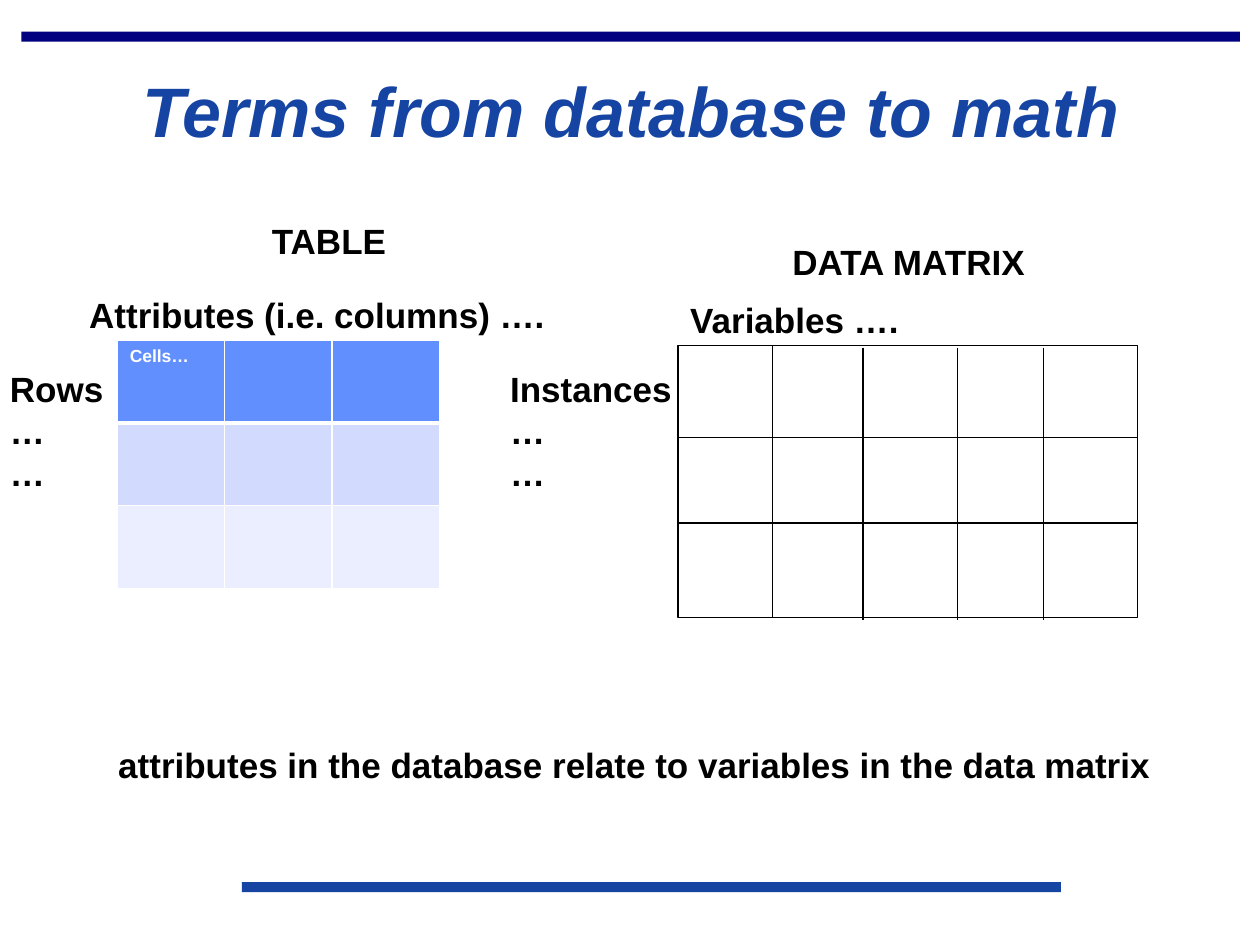
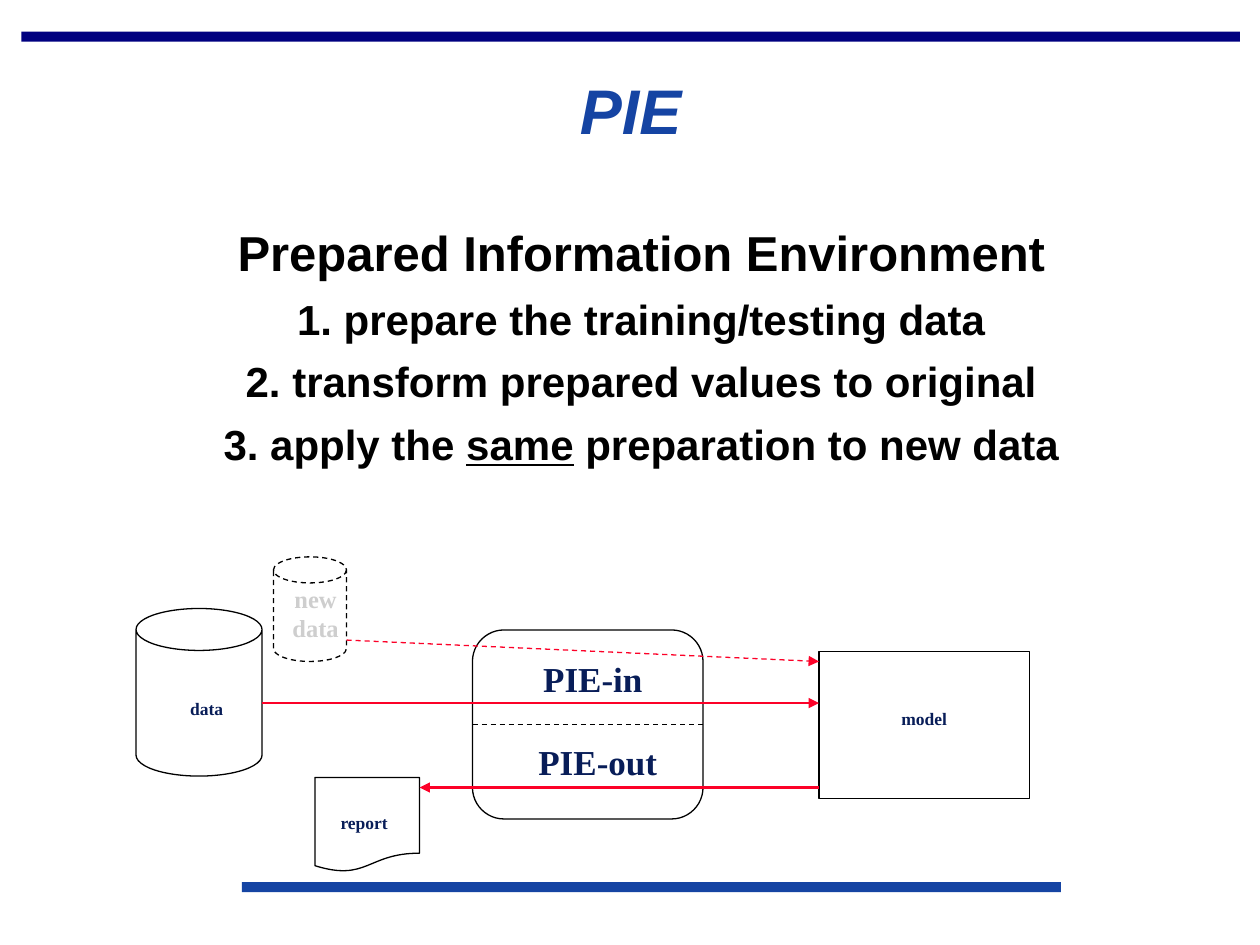
from dataclasses import dataclass

from pptx import Presentation
from pptx.dml.color import RGBColor as Color
from pptx.enum.dml import MSO_LINE_DASH_STYLE as Dash
from pptx.enum.shapes import MSO_CONNECTOR as Connector, MSO_SHAPE as Preset
from pptx.enum.text import MSO_ANCHOR as Anchor, PP_ALIGN as Align
from pptx.oxml.ns import qn
from pptx.oxml.xmlchemy import OxmlElement
from pptx.util import Inches, Pt


@dataclass(frozen=True)
class Theme:
    top_band: str = "000080"
    accent: str = "1544A3"
    black: str = "000000"
    white: str = "FFFFFF"
    diagram_text: str = "081D58"
    faded_text: str = "CECECE"
    arrow: str = "FC0128"
    table_rows: tuple = ("618FFD", "D2DBFE", "EAEEFF")
    sans: str = "Arial"
    serif: str = "Times New Roman"
    title_size: int = 40
    short_title_size: int = 36
    heading_size: int = 28
    step_size: int = 24
    label_size: int = 20
    faded_size: int = 14
    small_size: int = 10
    thin: float = 0.75
    thick: float = 1.5
    line_spacing: float = 0.95
    step_gap: float = 8.3


THEME = Theme()


def apply_format(target, values):
    for name, value in values.items():
        setattr(target, name, value)


def sans_format(size, **extra):
    return {"name": THEME.sans, "size": Pt(size), "bold": True, **extra}


def serif_format(size):
    return {"name": THEME.serif, "size": Pt(size), "bold": True}


def add_run(paragraph, text, font_format, color):
    run = paragraph.add_run()
    run.text = text
    apply_format(run.font, font_format)
    run.font.color.rgb = Color.from_string(color)
    return run


def add_text(slide, box, lines, font_format, color=THEME.black,
             paragraph_format=None, anchor=Anchor.TOP):
    shape = slide.shapes.add_textbox(*map(Inches, box))
    frame = shape.text_frame
    apply_format(frame, {"word_wrap": True, "vertical_anchor": anchor})
    for index, line in enumerate(lines):
        paragraph = frame.add_paragraph() if index else frame.paragraphs[0]
        apply_format(paragraph, paragraph_format or {})
        add_run(paragraph, line, font_format, color)
    return frame


def add_diagram_label(slide, box, lines, size, color=THEME.diagram_text):
    add_text(slide, box, lines, serif_format(size), color,
             {"alignment": Align.CENTER}, Anchor.MIDDLE)


def add_band(slide, box, color):
    band = slide.shapes.add_shape(Preset.RECTANGLE, *map(Inches, box))
    band.shadow.inherit = False
    band.fill.solid()
    band.fill.fore_color.rgb = Color.from_string(color)
    band.line.fill.background()


def set_line(line, color, width, dashed):
    line.color.rgb = Color.from_string(color)
    line.width = Pt(width)
    if dashed:
        line.dash_style = Dash.DASH


def add_outline(slide, preset, box, cap=None, dashed=False):
    shape = slide.shapes.add_shape(preset, *map(Inches, box))
    shape.shadow.inherit = False
    shape.fill.background()
    if cap:
        shape.adjustments[0] = cap
    set_line(shape.line, THEME.black, THEME.thin, dashed)


def add_line(slide, start, end, color=THEME.black, width=THEME.thin,
             dashed=False, arrow=False):
    connector = slide.shapes.add_connector(
        Connector.STRAIGHT, *map(Inches, (*start, *end)))
    set_line(connector.line, color, width, dashed)
    properties = connector.element.spPr
    if arrow:
        head = OxmlElement("a:tailEnd")
        head.set("type", "triangle")
        properties.find(qn("a:ln")).append(head)
    properties.append(OxmlElement("a:effectLst"))


def add_arrow(slide, start, end, width=THEME.thick, dashed=False):
    add_line(slide, start, end, THEME.arrow, width, dashed, arrow=True)


def set_cell_borders(cell, widths):
    properties = cell._tc.get_or_add_tcPr()
    for position, (side, width) in enumerate(widths.items()):
        border = OxmlElement(f"a:ln{side}")
        border.set("w", str(Pt(width)))
        fill = OxmlElement("a:solidFill")
        color = OxmlElement("a:srgbClr")
        color.set("val", THEME.white)
        fill.append(color)
        border.append(fill)
        properties.insert(position, border)


def add_database_table(slide, box):
    table = slide.shapes.add_table(3, 3, *map(Inches, box)).table
    for row, color in enumerate(THEME.table_rows):
        borders = {"L": 1, "R": 1, "T": 3 if row == 1 else 1,
                   "B": 3 if row == 0 else 1}
        for column in range(3):
            cell = table.cell(row, column)
            cell.fill.solid()
            cell.fill.fore_color.rgb = Color.from_string(color)
            set_cell_borders(cell, borders)
    add_run(table.cell(0, 0).text_frame.paragraphs[0], "Cells…",
            sans_format(THEME.small_size), THEME.white)


def add_data_matrix(slide, left, top, width, height):
    add_outline(slide, Preset.RECTANGLE, (left, top, width, height))
    for x, drop in ((6.13, 0), (6.85, 0.02), (7.6, 0.02), (8.28, 0.02)):
        add_line(slide, (x, top + drop), (x, top + height + drop))
    for y in (3.47, 4.15):
        add_line(slide, (left, y), (left + width, y))


def add_titled_slide(presentation, title, size):
    slide = presentation.slides.add_slide(presentation.slide_layouts[6])
    add_band(slide, (0.17, 0.25, 9.67, 0.08), THEME.top_band)
    add_band(slide, (1.92, 7, 6.5, 0.08), THEME.accent)
    add_text(slide, (0.17, 0.33, 9.67, 1.14), [title],
             sans_format(size, italic=True), THEME.accent,
             {"alignment": Align.CENTER, "line_spacing": THEME.line_spacing},
             Anchor.MIDDLE)
    return slide


def build_terms_slide(presentation):
    slide = add_titled_slide(
        presentation, "Terms from database to math", THEME.title_size)
    add_database_table(slide, (0.93, 2.7, 2.56, 1.97))
    add_data_matrix(slide, 5.38, 2.74, 3.65, 2.16)
    labels = (
        ((0.61, 2.28, 3.9, 0.44), ["Attributes (i.e. columns) …."]),
        ((-0.02, 2.87, 1, 1.11), ["Rows", "…", "…"]),
        ((2.06, 1.69, 1.2, 0.44), ["TABLE"]),
        ((6.19, 1.86, 2.2, 0.44), ["DATA MATRIX"]),
        ((5.38, 2.32, 2, 0.44), ["Variables …."]),
        ((3.95, 2.87, 1.6, 1.11), ["Instances", "…", "…"]),
        ((0.84, 5.85, 8.6, 0.44),
         ["attributes in the database relate to variables in the data matrix"]),
    )
    for box, lines in labels:
        add_text(slide, box, lines, sans_format(THEME.label_size))


def add_preparation_steps(slide):
    centered = {"alignment": Align.CENTER, "line_spacing": THEME.line_spacing}
    frame = add_text(slide, (1.21, 1.75, 7.76, 2.66),
                     ["Prepared Information Environment"],
                     sans_format(THEME.heading_size),
                     paragraph_format=centered)
    steps = (
        ["1. prepare the training/testing data"],
        ["2. transform prepared values to original"],
        ["3. apply the ", "same", " preparation to new data"],
    )
    for step in steps:
        paragraph = frame.add_paragraph()
        apply_format(paragraph, {**centered, "space_before": Pt(THEME.step_gap)})
        for text in step:
            run = add_run(paragraph, text, sans_format(THEME.step_size), THEME.black)
            if text == "same":
                run.font.underline = True


def build_pie_slide(presentation):
    slide = add_titled_slide(presentation, "PIE", THEME.short_title_size)
    add_preparation_steps(slide)

    add_outline(slide, Preset.CAN, (1.08, 4.83, 1, 1.33), cap=0.333)
    add_outline(slide, Preset.FLOWCHART_ALTERNATE_PROCESS, (3.75, 5, 1.83, 1.5))
    add_outline(slide, Preset.FLOWCHART_PROCESS, (6.5, 5.17, 1.67, 1.17))
    add_outline(slide, Preset.FLOWCHART_DOCUMENT, (2.5, 6.17, 0.83, 0.75))
    add_outline(slide, Preset.CAN, (2.17, 4.42, 0.58, 0.83), cap=0.357, dashed=True)

    add_line(slide, (3.75, 5.75), (5.58, 5.75), dashed=True)
    add_arrow(slide, (2.08, 5.58), (6.5, 5.58))
    add_arrow(slide, (6.5, 6.25), (3.33, 6.25))
    add_arrow(slide, (2.75, 5.08), (6.5, 5.25), THEME.thin, dashed=True)

    add_diagram_label(slide, (4.08, 5.17, 1.25, 0.43), ["PIE-in"], THEME.label_size)
    add_diagram_label(slide, (4.08, 5.83, 1.33, 0.43), ["PIE-out"], THEME.label_size)
    add_diagram_label(slide, (1.33, 5.42, 0.62, 0.4), ["data"], THEME.small_size)
    add_diagram_label(slide, (2.49, 6.33, 0.8, 0.4), ["report"], THEME.small_size)
    add_diagram_label(slide, (6.92, 5.5, 0.83, 0.4), ["model"], THEME.small_size)
    add_diagram_label(slide, (2.17, 4.58, 0.67, 0.57), ["new", "data"],
                      THEME.faded_size, THEME.faded_text)


def main():
    presentation = Presentation()
    apply_format(presentation,
                 {"slide_width": Inches(10), "slide_height": Inches(7.5)})
    build_terms_slide(presentation)
    build_pie_slide(presentation)
    presentation.save("out.pptx")


if __name__ == "__main__":
    main()
